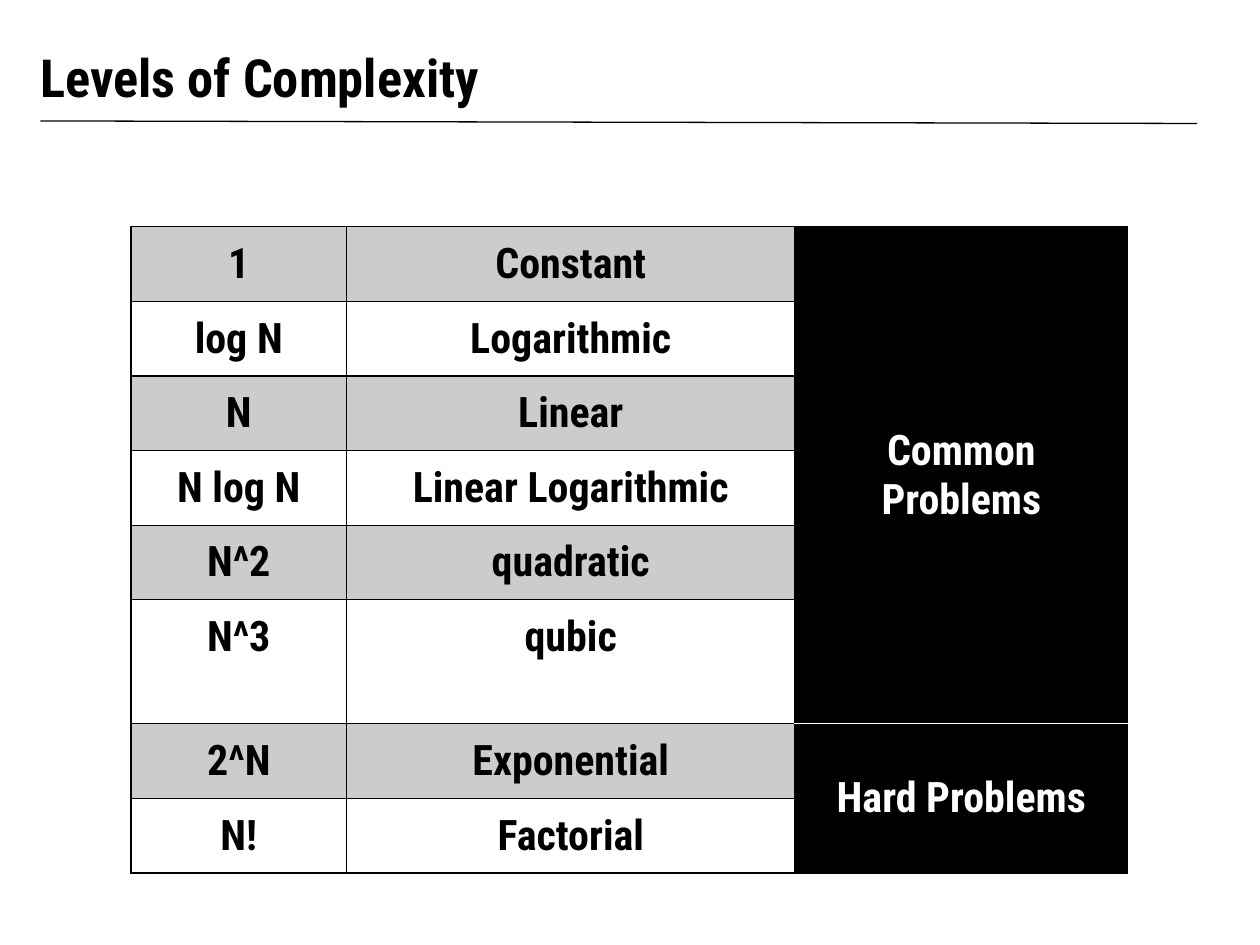
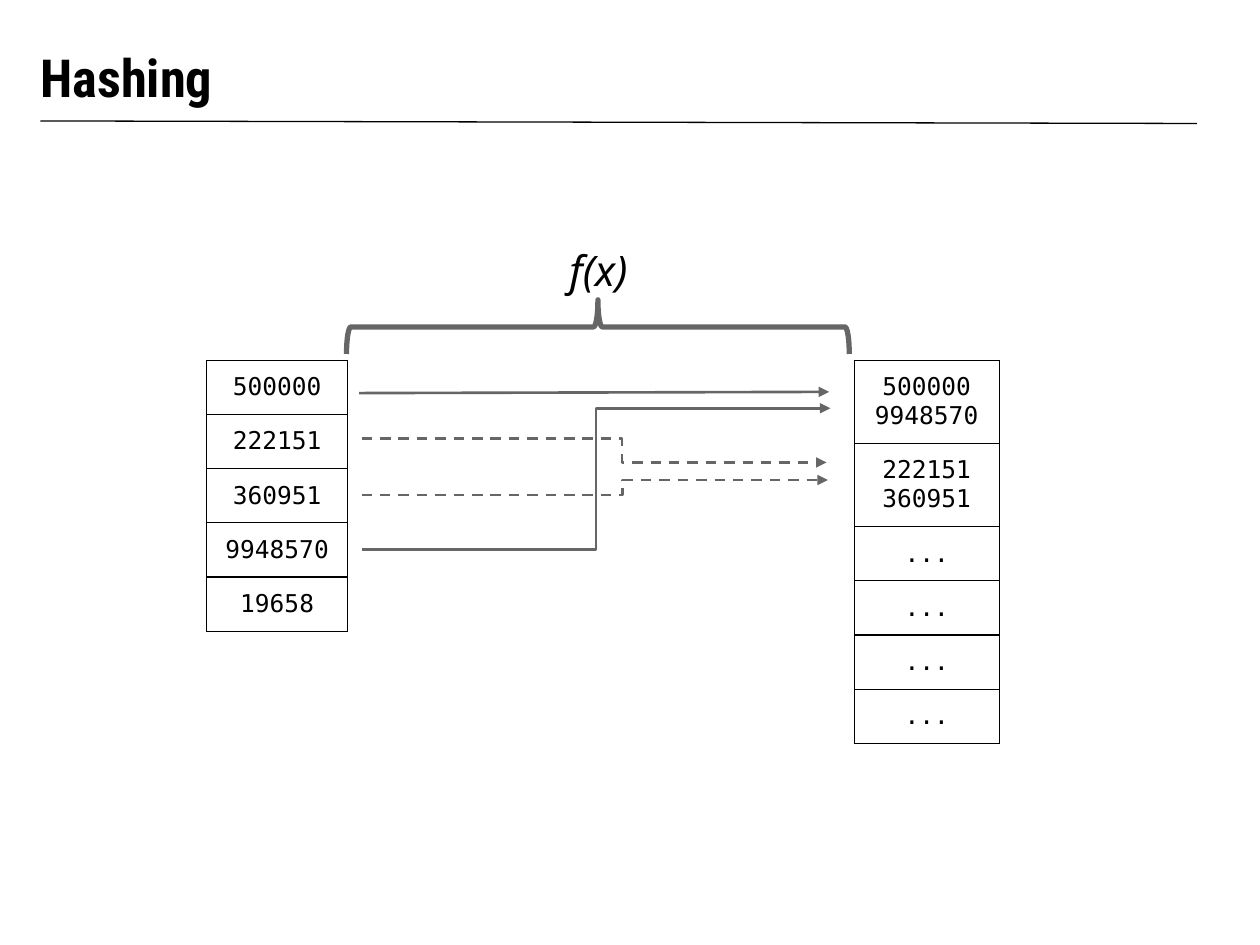
import collections

import lxml.etree
import pptx
import pptx.dml.color
import pptx.enum.dml
import pptx.enum.shapes
import pptx.enum.text
import pptx.oxml.ns
import pptx.util

Inches = pptx.util.Inches
Pt = pptx.util.Pt
qn = pptx.oxml.ns.qn
ANCHOR = pptx.enum.text.MSO_ANCHOR
ALIGN = pptx.enum.text.PP_ALIGN
CONNECTOR = pptx.enum.shapes.MSO_CONNECTOR

Box = collections.namedtuple("Box", "left top width height")
COLORS = {"ink": "000000", "paper": "FFFFFF", "band": "CCCCCC", "flow": "666666"}

TITLE_FONT = {"name": "Roboto Condensed", "size": Pt(30), "bold": True}
LEVEL_FONT = {"name": "Roboto Condensed", "size": Pt(24), "bold": True}
NUMBER_FONT = {"name": "DejaVu Sans Mono", "size": Pt(14), "bold": False}
FUNCTION_FONT = {"name": "Noto Sans", "size": Pt(24), "italic": True}

TITLE_BOX = Box(0.22, 0.22, 9, 0.74)
MARGINS = {"margin_" + side: Inches(0.1) for side in ("left", "right", "top", "bottom")}
BORDER_TAGS = {"left": "a:lnL", "right": "a:lnR", "top": "a:lnT", "bottom": "a:lnB"}

LEVELS = [
    ("1", "Constant"), ("log N", "Logarithmic"), ("N", "Linear"),
    ("N log N", "Linear Logarithmic"), ("N^2", "quadratic"), ("N^3", "qubic"),
    ("2^N", "Exponential"), ("N!", "Factorial"),
]
# first row, last row, label, borders that differ from the grid
PROBLEM_GROUPS = [
    (0, 5, "Common Problems", {"bottom": "paper"}),
    (6, 7, "Hard Problems", {"top": "paper"}),
]
KEYS = ["500000", "222151", "360951", "9948570", "19658"]
BUCKETS = ["500000\n9948570", "222151\n360951"] + ["..."] * 4
# start, end, position of the bend (None: straight), dashed
HASH_ARROWS = [
    ((1.21, 1.28), (4.94, 1.27), None, False),
    ((1.23, 2.52), (4.95, 1.40), 0.5, False),
    ((1.23, 1.64), (4.92, 1.83), 0.56, True),
    ((1.23, 2.09), (4.93, 1.97), 0.56, True),
]


def rgb(color):
    return pptx.dml.color.RGBColor.from_string(COLORS[color])


def apply(target, values):
    for name, value in values.items():
        setattr(target, name, value)


def write(frame, words, font, color="ink", align=ALIGN.CENTER):
    frame.text = words
    for paragraph in frame.paragraphs:
        paragraph.alignment = align
        for run in paragraph.runs:
            apply(run.font, font)
            run.font.color.rgb = rgb(color)


def place(shape, box):
    apply(shape, {side: Inches(value) for side, value in box._asdict().items()})


def draw_line(slide, start, end, color, width, bend=None, dashed=False, arrow=False):
    kind = CONNECTOR.STRAIGHT if bend is None else CONNECTOR.ELBOW
    connector = slide.shapes.add_connector(kind, *map(Inches, start + end))
    connector.line.color.rgb = rgb(color)
    connector.line.width = Pt(width)
    if dashed:
        connector.line.dash_style = pptx.enum.dml.MSO_LINE.DASH
    properties = connector.element.spPr
    if bend is not None:
        guides = properties.find(qn("a:prstGeom")).find(qn("a:avLst"))
        lxml.etree.SubElement(guides, qn("a:gd"), name="adj1", fmla=f"val {round(bend * 100000)}")
    if arrow:
        lxml.etree.SubElement(properties.find(qn("a:ln")), qn("a:tailEnd"), type="triangle")
    lxml.etree.SubElement(properties, qn("a:effectLst"))


def style_cell(cell, fill=None, borders=None):
    """Set margins, border lines and fill; borders maps sides to colours other than ink."""
    apply(cell, MARGINS)
    properties = cell._tc.get_or_add_tcPr()
    for side, tag in BORDER_TAGS.items():
        line = lxml.etree.SubElement(properties, qn(tag), w=str(Pt(0.75)))
        solid = lxml.etree.SubElement(line, qn("a:solidFill"))
        color = COLORS[(borders or {}).get(side, "ink")]
        lxml.etree.SubElement(solid, qn("a:srgbClr"), val=color)
    if fill:
        cell.fill.solid()
        cell.fill.fore_color.rgb = rgb(fill)
    else:
        cell.fill.background()


def add_grid(slide, left, top, widths, heights):
    size = map(Inches, (left, top, sum(widths), sum(heights)))
    grid = slide.shapes.add_table(len(heights), len(widths), *size).table
    apply(grid, {"first_row": False, "horz_banding": False})
    for column, width in zip(grid.columns, widths):
        column.width = Inches(width)
    for row, height in zip(grid.rows, heights):
        row.height = Inches(height)
    return grid


def add_titled_slide(deck, heading):
    slide = deck.slides.add_slide(deck.slide_layouts.get_by_name("Title Only"))
    title = slide.shapes.title
    place(title, TITLE_BOX)
    apply(title.text_frame, MARGINS)
    apply(title.text_frame, {
        "vertical_anchor": ANCHOR.BOTTOM,
        "word_wrap": True,
        "auto_size": pptx.enum.text.MSO_AUTO_SIZE.NONE,
    })
    write(title.text_frame, heading, TITLE_FONT, align=ALIGN.LEFT)
    draw_line(slide, (0.32, 0.96), (9.5, 0.98), "ink", 0.75)
    return slide


def add_levels(slide, box):
    heights = [0.59] * len(LEVELS)
    heights[5] = box.height - 0.59 * (len(LEVELS) - 1)
    widths = [1.71, 3.56, box.width - 1.71 - 3.56]
    grid = add_grid(slide, box.left, box.top, widths, heights)
    for row, level in enumerate(LEVELS):
        for column, words in enumerate(level):
            cell = grid.cell(row, column)
            style_cell(cell, "paper" if row % 2 else "band")
            write(cell.text_frame, words, LEVEL_FONT)
    for first, last, label, borders in PROBLEM_GROUPS:
        for row in range(first, last + 1):
            style_cell(grid.cell(row, 2), "ink", borders)
        group = grid.cell(first, 2)
        group.merge(grid.cell(last, 2))
        group.vertical_anchor = ANCHOR.MIDDLE
        write(group.text_frame, label, LEVEL_FONT, "paper")


def add_number_list(slide, left, top, width, entries):
    heights = [0.66 if "\n" in entry else 0.43 for entry in entries]
    grid = add_grid(slide, left, top, [width], heights)
    for row, entry in enumerate(entries):
        cell = grid.cell(row, 0)
        style_cell(cell)
        write(cell.text_frame, entry, NUMBER_FONT)


def add_function_brace(slide, box):
    """Draw f(x) above a brace that spans the box width."""
    middle = box.left + box.width / 2
    depth = 0.43
    brace = slide.shapes.add_shape(
        pptx.enum.shapes.MSO_SHAPE.LEFT_BRACE,
        Inches(middle - depth / 2),
        Inches(box.top + box.height - (depth + box.width) / 2),
        Inches(depth), Inches(box.width))
    brace.rotation = 90
    brace.adjustments[0] = 0.08
    brace.shadow.inherit = False
    brace.fill.background()
    brace.line.color.rgb = rgb("flow")
    brace.line.width = Pt(3)

    label = slide.shapes.add_textbox(
        Inches(middle - 0.41), Inches(box.top), Inches(0.83), Inches(0.28)).text_frame
    apply(label, MARGINS)
    apply(label, {"word_wrap": True, "vertical_anchor": ANCHOR.TOP})
    write(label, "f(x)", FUNCTION_FONT)


def add_hash_mapping(slide, box):
    bucket_width = 1.15
    add_number_list(slide, box.left, box.top + 1.02, 1.12, KEYS)
    add_number_list(slide, box.left + box.width - bucket_width, box.top + 1.02,
                    bucket_width, BUCKETS)
    for start, end, bend, dashed in HASH_ARROWS:
        ends = [(box.left + x, box.top + y) for x, y in (start, end)]
        draw_line(slide, *ends, "flow", 1.5, bend, dashed, arrow=True)
    add_function_brace(slide, Box(box.left + 1.11, box.top, 3.99, 0.97))


def main():
    deck = pptx.Presentation()
    apply(deck, {"slide_width": Inches(10), "slide_height": Inches(7.5)})
    add_levels(add_titled_slide(deck, "Levels of Complexity"), Box(1.04, 1.8, 7.91, 5.11))
    add_hash_mapping(add_titled_slide(deck, "Hashing"), Box(1.64, 1.84, 6.29, 4.06))
    deck.save("out.pptx")


if __name__ == "__main__":
    main()
